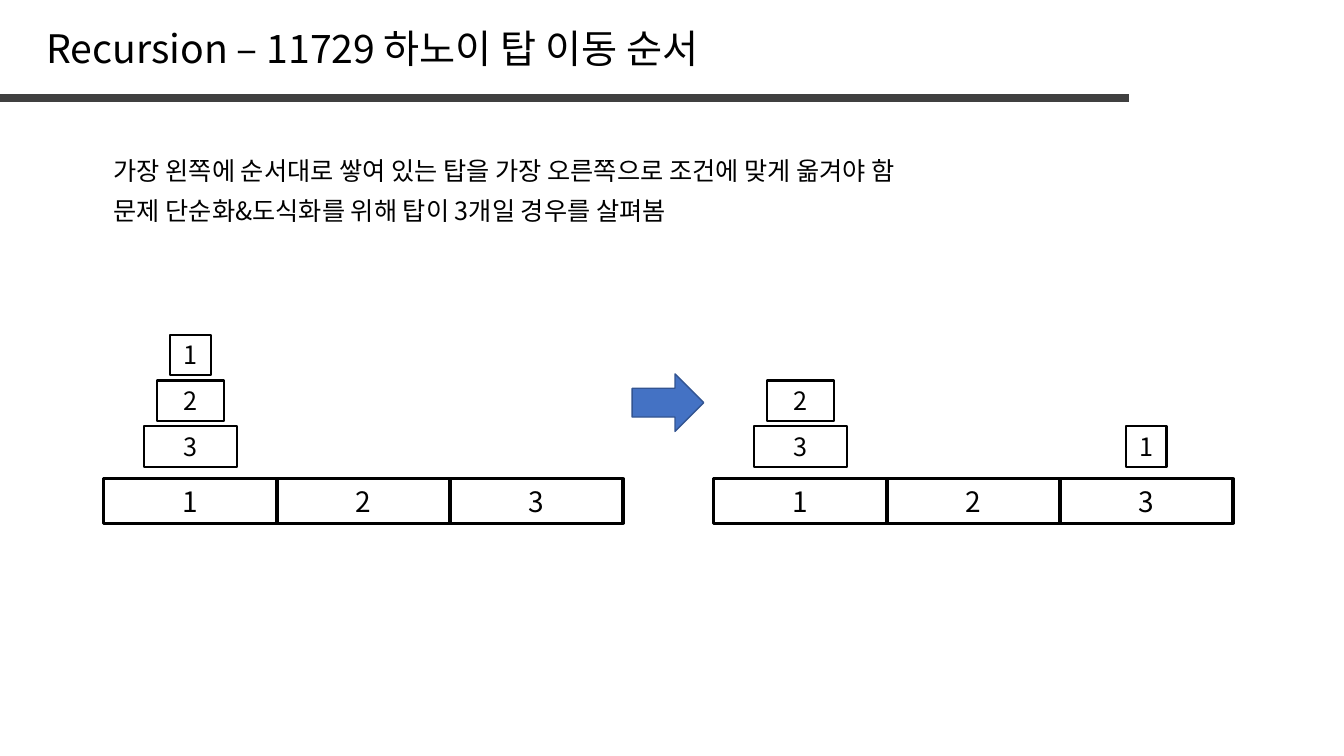
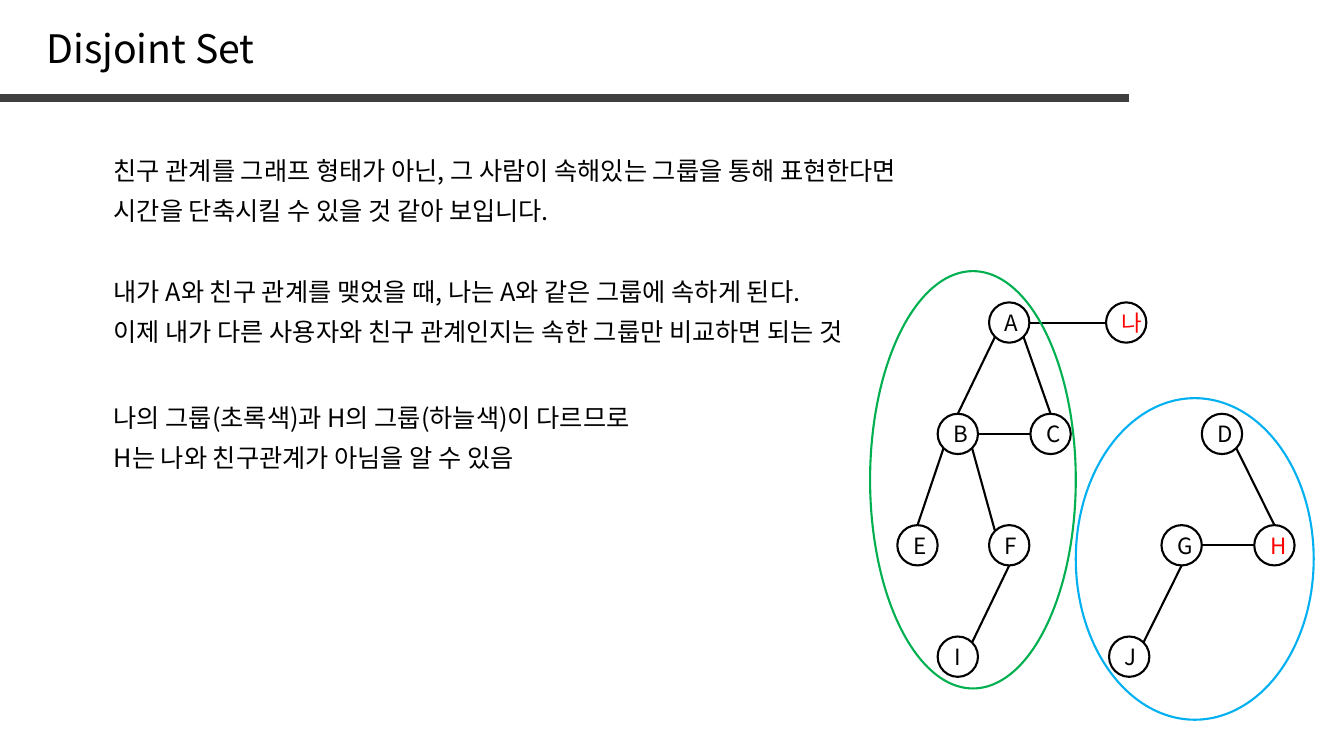
import math

import pptx
import pptx.dml.color
import pptx.enum.shapes
import pptx.enum.text
import pptx.oxml
import pptx.oxml.ns
import pptx.util
from pptx.util import Inches

FONT = "Noto Sans CJK KR"
BLACK, GRAY, RED = "000000", "404040", "FF0000"
BLUE, DARK_BLUE = "4472C4", "325491"
GREEN, SKY = "00B050", "00B0F0"

SHAPE = pptx.enum.shapes.MSO_SHAPE
ALIGN = pptx.enum.text.PP_ALIGN

LINE_PITCH = 0.4
PEG_STEP, PEG_W, PEG_H, PEG_TOP = 1.715, 1.72, 0.44, 4.75
DISK_H, DISK_STEP, LOWEST_DISK = 0.4, 0.455, 4.23
DISK_WIDTHS = {1: 0.4, 2: 0.67, 3: 0.92}
NODE_R = 0.2
ROWS = [3.2 + 1.105 * i for i in range(4)]

# Directions in degrees, clockwise from the right
RIGHT, LOWER_RIGHT, DOWN, LOWER_LEFT = 0, 45, 90, 135
LEFT, UPPER_LEFT, UP, UPPER_RIGHT = 180, 225, 270, 315


def rgb(value):
    return pptx.dml.color.RGBColor.from_string(value)


def set_text(sp, text, size, color=BLACK, align=ALIGN.LEFT):
    tf = sp.text_frame
    tf.word_wrap = True
    tf.auto_size = pptx.enum.text.MSO_AUTO_SIZE.NONE
    tf.vertical_anchor = pptx.enum.text.MSO_ANCHOR.MIDDLE
    p = tf.paragraphs[0]
    r = p.add_run()
    r.text = text
    p.alignment = align
    f = r.font
    f.name, f.size = FONT, pptx.util.Pt(size)
    f.color.rgb = rgb(color)
    ea = pptx.oxml.parse_xml(
        f'<a:ea {pptx.oxml.ns.nsdecls("a")} typeface="{FONT}"/>')
    r._r.get_or_add_rPr().find(pptx.oxml.ns.qn("a:latin")).addnext(ea)


def add_line(s, start, end, color=BLACK, width=1.5):
    cx = s.shapes.add_connector(pptx.enum.shapes.MSO_CONNECTOR.STRAIGHT,
                                *map(Inches, (*start, *end)))
    cx.line.color.rgb = rgb(color)
    cx.line.width = pptx.util.Pt(width)
    cx._element.spPr.append(
        pptx.oxml.parse_xml(f'<a:effectLst {pptx.oxml.ns.nsdecls("a")}/>'))


def add_shape(s, kind, box, line=BLACK, width=1.5, fill=None):
    sp = s.shapes.add_shape(kind, *map(Inches, box))
    sp.shadow.inherit = False
    if fill:
        sp.fill.solid()
        sp.fill.fore_color.rgb = rgb(fill)
    else:
        sp.fill.background()
    sp.line.color.rgb = rgb(line)
    sp.line.width = pptx.util.Pt(width)
    return sp


def add_slide(prs, title):
    """Add a title-only slide with the title and the rule below it."""
    s = prs.slides.add_slide(prs.slide_layouts[5])
    add_line(s, (0, 0.97), (11.2, 0.97), GRAY, 6)
    sp = s.shapes.title
    sp.left, sp.top, sp.width, sp.height = map(Inches, (0.36, 0.19, 10.84, 0.57))
    set_text(sp, title, 28)
    return s


def add_lines(s, top, lines):
    for i, text in enumerate(lines):
        sp = s.shapes.add_textbox(Inches(1.03), Inches(top + i * LINE_PITCH),
                                  Inches(11.2), Inches(LINE_PITCH))
        set_text(sp, text, 18)


def add_hanoi(s, left, towers):
    """Draw three pegs; towers maps a peg to its disks from the bottom up."""
    for peg in (1, 2, 3):
        x = left + (peg - 1) * PEG_STEP
        sp = add_shape(s, SHAPE.RECTANGLE, (x, PEG_TOP, PEG_W, PEG_H), width=2.25)
        set_text(sp, str(peg), 20, align=ALIGN.CENTER)
        for level, disk in enumerate(towers.get(peg, [])):
            w = DISK_WIDTHS[disk]
            sp = add_shape(s, SHAPE.RECTANGLE,
                           (x + (PEG_W - w) / 2, LOWEST_DISK - level * DISK_STEP,
                            w, DISK_H))
            set_text(sp, str(disk), 18, align=ALIGN.CENTER)


def add_graph(s, nodes, edges):
    """Draw circles, and lines between the given sides of two circles."""
    def site(name, angle):
        x, row = nodes[name]
        a = math.radians(angle)
        return x + NODE_R * math.cos(a), ROWS[row] + NODE_R * math.sin(a)

    for name, (x, row) in nodes.items():
        sp = add_shape(s, SHAPE.OVAL, (x - NODE_R, ROWS[row] - NODE_R,
                                       2 * NODE_R, 2 * NODE_R))
        set_text(sp, name, 16, RED if name in ("나", "H") else BLACK, ALIGN.CENTER)
    for a, a_side, b, b_side in edges:
        add_line(s, site(a, a_side), site(b, b_side))


def hanoi_slide(prs):
    s = add_slide(prs, "Recursion – 11729 하노이 탑 이동 순서")
    add_lines(s, 1.49, [
        "가장 왼쪽에 순서대로 쌓여 있는 탑을 가장 오른쪽으로 조건에 맞게 옮겨야 함",
        "문제 단순화&도식화를 위해 탑이 3개일 경우를 살펴봄"])
    add_hanoi(s, 1.03, {1: [3, 2, 1]})
    add_shape(s, SHAPE.RIGHT_ARROW, (6.27, 3.71, 0.71, 0.57), DARK_BLUE, 1, BLUE)
    add_hanoi(s, 7.08, {1: [3, 2], 3: [1]})


def disjoint_set_slide(prs):
    s = add_slide(prs, "Disjoint Set")
    add_lines(s, 1.49, [
        "친구 관계를 그래프 형태가 아닌, 그 사람이 속해있는 그룹을 통해 표현한다면",
        "시간을 단축시킬 수 있을 것 같아 보입니다."])
    add_lines(s, 2.69, [
        "내가 A와 친구 관계를 맺었을 때, 나는 A와 같은 그룹에 속하게 된다.",
        "이제 내가 다른 사용자와 친구 관계인지는 속한 그룹만 비교하면 되는 것"])
    add_lines(s, 3.94, [
        "나의 그룹(초록색)과 H의 그룹(하늘색)이 다르므로",
        "H는 나와 친구관계가 아님을 알 수 있음"])
    nodes = {  # name: (centre x, row)
        "A": (10.01, 0), "나": (11.17, 0),
        "B": (9.5, 1), "C": (10.42, 1), "D": (12.12, 1),
        "E": (9.1, 2), "F": (10.01, 2), "G": (11.72, 2), "H": (12.64, 2),
        "I": (9.5, 3), "J": (11.2, 3)}
    edges = [
        ("A", LOWER_LEFT, "B", UP), ("A", LOWER_RIGHT, "C", UP),
        ("A", RIGHT, "나", LEFT), ("B", RIGHT, "C", LEFT),
        ("B", LOWER_LEFT, "E", UP), ("B", LOWER_RIGHT, "F", UPPER_LEFT),
        ("F", DOWN, "I", UPPER_RIGHT), ("D", LOWER_RIGHT, "H", UP),
        ("G", RIGHT, "H", LEFT), ("G", DOWN, "J", UPPER_RIGHT)]
    add_graph(s, nodes, edges)
    add_shape(s, SHAPE.OVAL, (8.63, 2.69, 2.04, 4.14), GREEN)
    add_shape(s, SHAPE.OVAL, (10.67, 3.95, 2.36, 3.19), SKY)


def main():
    prs = pptx.Presentation()
    prs.slide_width, prs.slide_height = Inches(13.33), Inches(7.5)
    hanoi_slide(prs)
    disjoint_set_slide(prs)
    prs.save("out.pptx")


if __name__ == "__main__":
    main()
